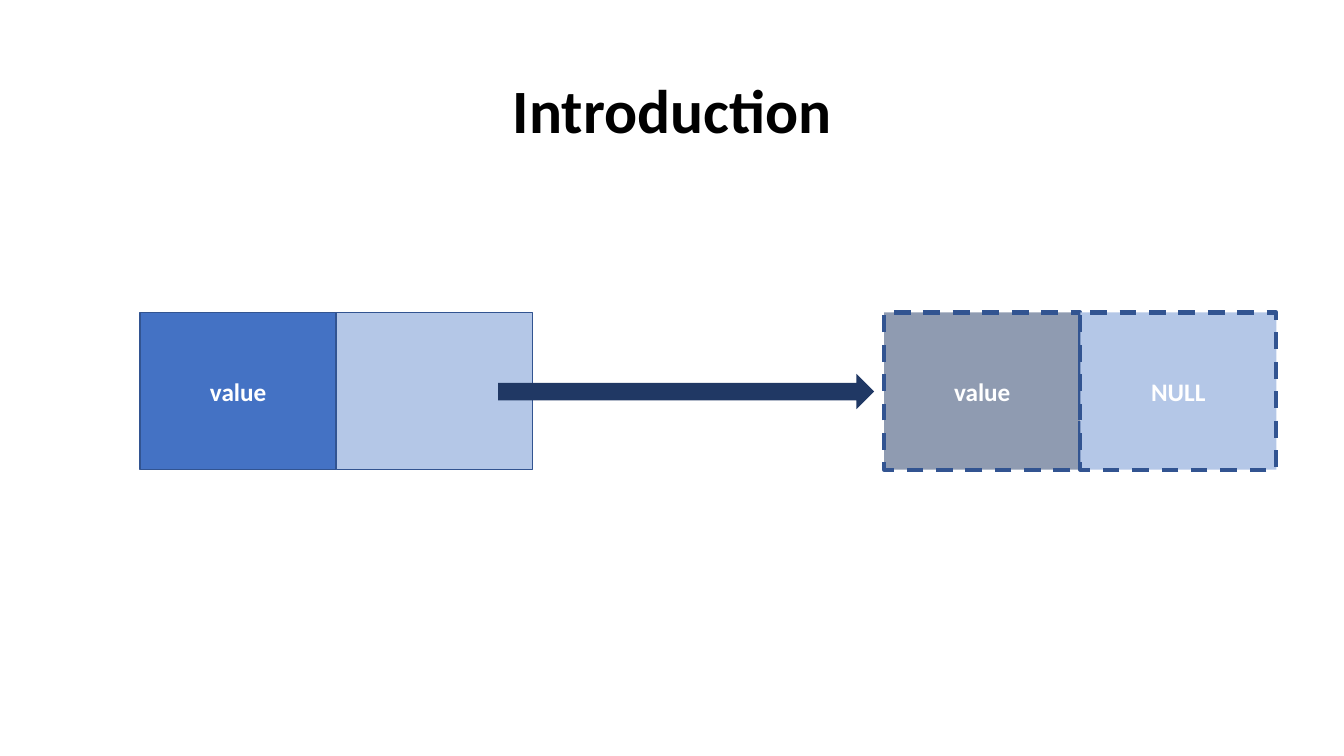
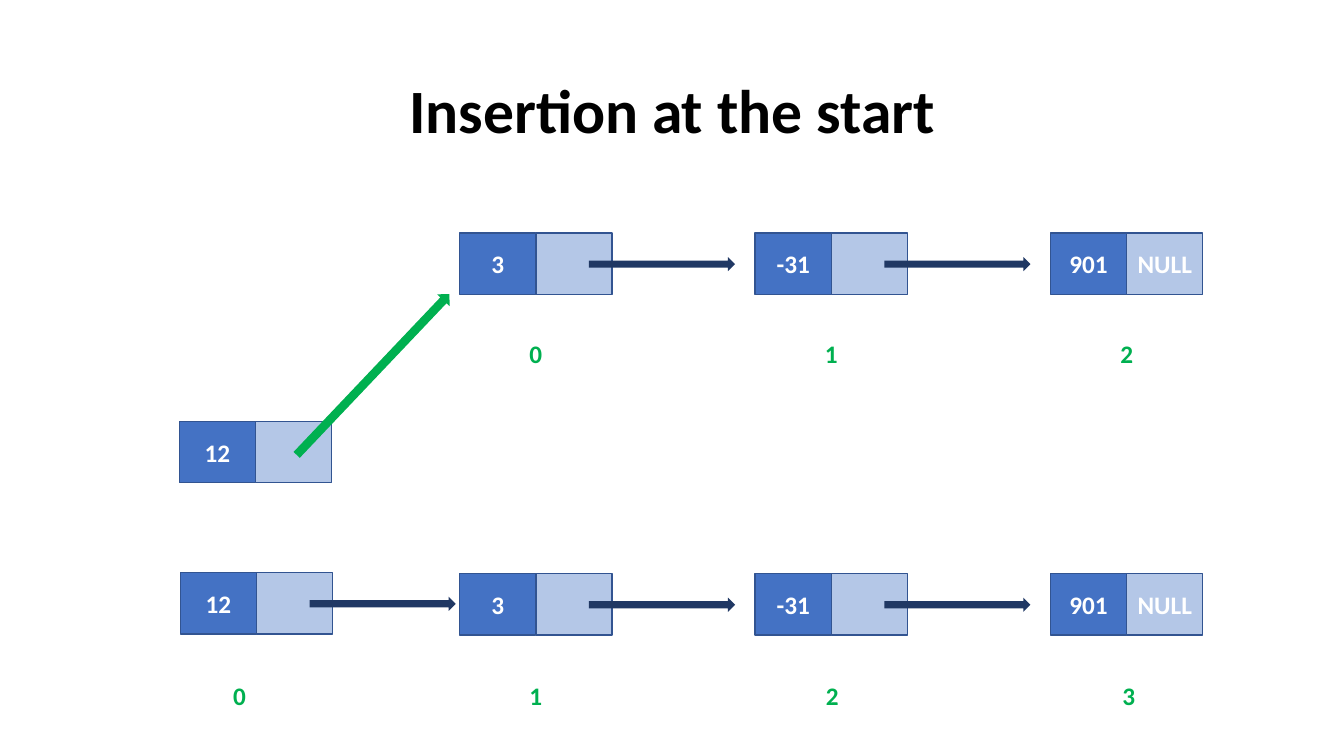
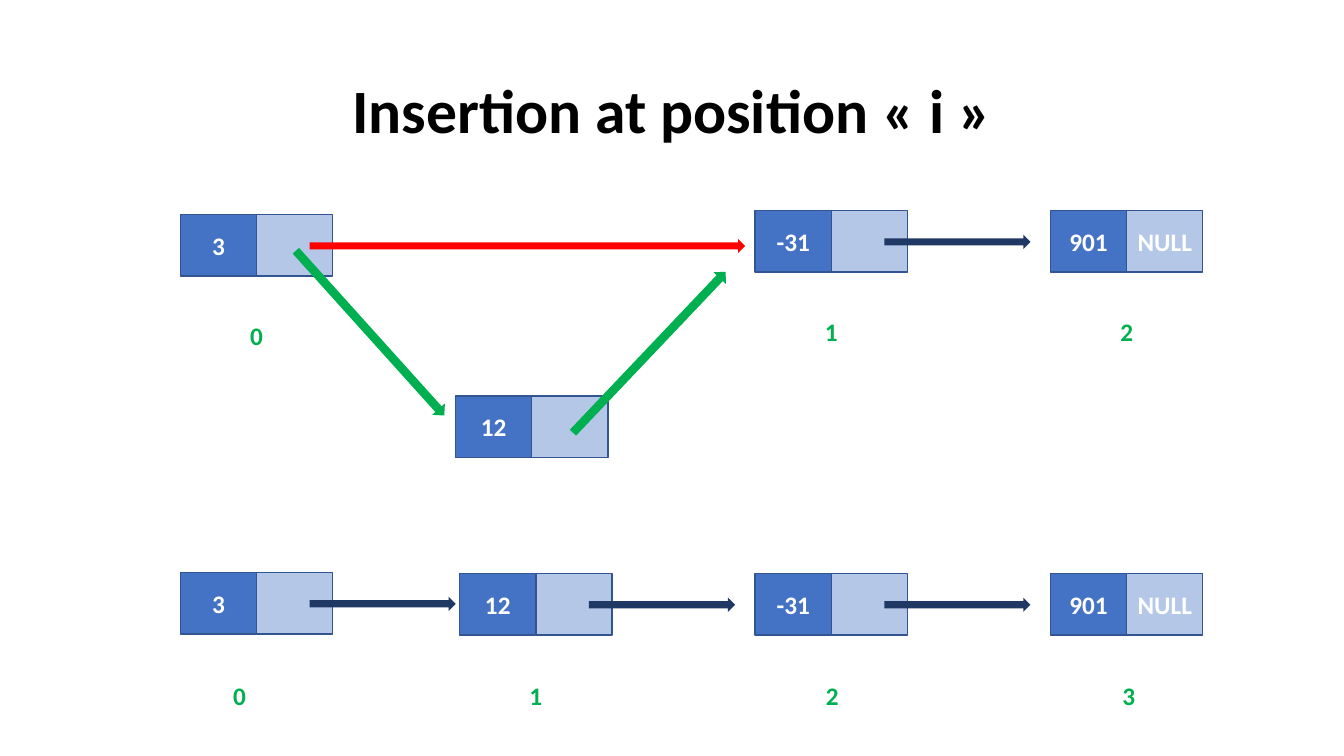
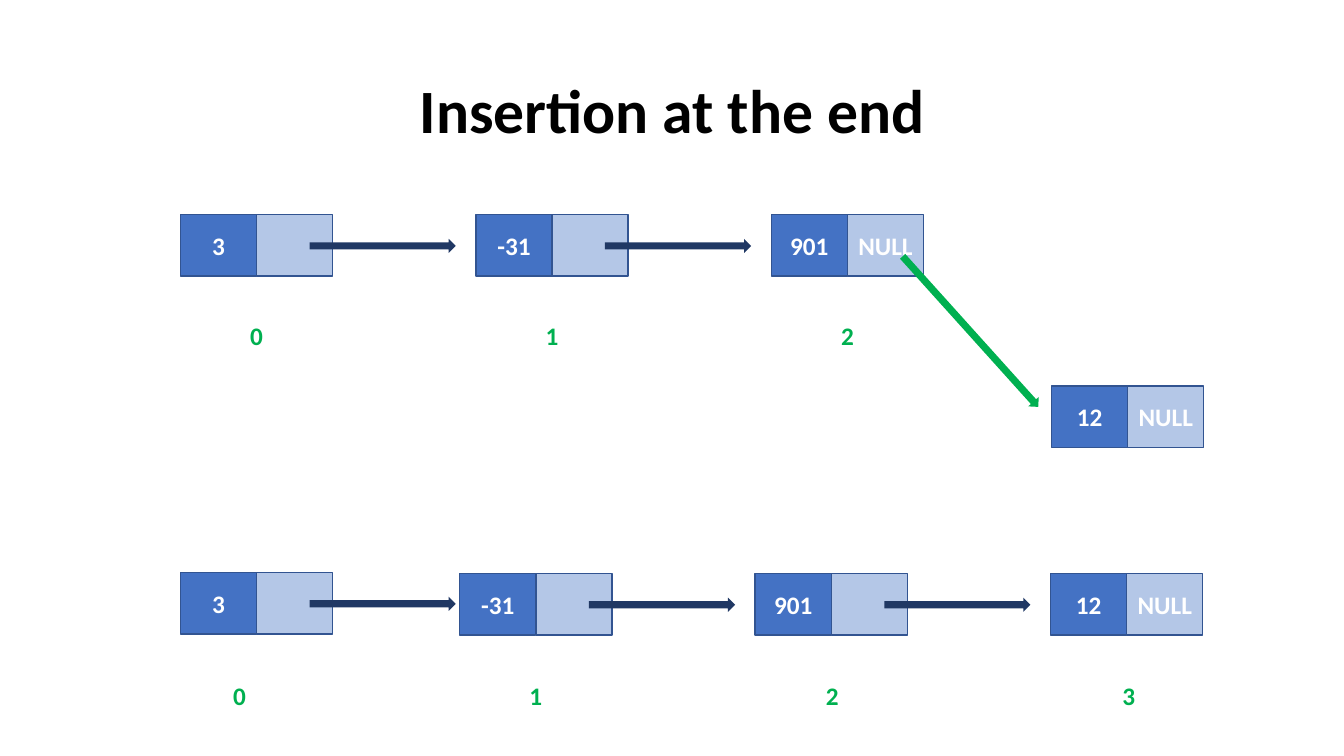
import pptx
import pptx.dml.color
import pptx.enum.dml
import pptx.enum.shapes
import pptx.enum.text
import pptx.oxml.ns
import pptx.util
import lxml.etree

Inches = pptx.util.Inches
RGBColor = pptx.dml.color.RGBColor
SHAPE = pptx.enum.shapes.MSO_SHAPE

BLACK = RGBColor(0x00, 0x00, 0x00)
WHITE = RGBColor(0xFF, 0xFF, 0xFF)
BLUE = RGBColor(0x44, 0x72, 0xC4)
PALE_BLUE = RGBColor(0xB4, 0xC7, 0xE7)
EDGE_BLUE = RGBColor(0x32, 0x54, 0x91)
NAVY = RGBColor(0x20, 0x38, 0x64)
GREEN = RGBColor(0x00, 0xB0, 0x50)
RED = RGBColor(0xFF, 0x00, 0x00)

FONT = "Calibri"
CELL_WIDTH = 0.755
CELL_HEIGHT = 0.61
LABEL_WIDTH = 0.83
LINK_WIDTH = 1.45
LINK_HEIGHT = 0.14
PITCH = 2.93
LABEL_PITCH = 2.94
FIRST_LEFT = 1.79
RESULT_LEFT = 4.56
RESULT_TOP = 5.69
RESULT_LABEL_LEFT = 1.96
RESULT_LABEL_TOP = 6.7


def write(frame, text, size=18, color=WHITE, line_spacing=None,
          anchor=pptx.enum.text.MSO_ANCHOR.MIDDLE):
    frame.word_wrap = True
    frame.vertical_anchor = anchor
    para = frame.paragraphs[0]
    para.alignment = pptx.enum.text.PP_ALIGN.CENTER
    if line_spacing:
        para.line_spacing = line_spacing
    span = para.add_run()
    span.text = text
    span.font.name = FONT
    span.font.size = pptx.util.Pt(size)
    span.font.bold = True
    span.font.color.rgb = color


def add_text(page, text, left, top, width, height, **text_format):
    box = page.shapes.add_textbox(Inches(left), Inches(top), Inches(width), Inches(height))
    write(box.text_frame, text, **text_format)
    return box


def add_title_page(deck, title):
    page = deck.slides.add_slide(deck.slide_layouts[6])
    add_text(page, title, 0.92, 0.4, 11.5, 1.45, size=44, color=BLACK, line_spacing=0.9)
    return page


def add_filled(shapes, kind, left, top, width, height, fill):
    shape = shapes.add_shape(kind, Inches(left), Inches(top), Inches(width), Inches(height))
    shape.shadow.inherit = False
    shape.fill.solid()
    shape.fill.fore_color.rgb = fill
    return shape


def add_arrow(shapes, left, top, width, height=LINK_HEIGHT, color=NAVY, rotation=0):
    arrow = add_filled(shapes, SHAPE.RIGHT_ARROW, left, top, width, height, color)
    arrow.line.fill.background()
    arrow.rotation = rotation


def set_opacity(shape, percent):
    color = shape.fill._xPr.find(".//" + pptx.oxml.ns.qn("a:srgbClr"))
    alpha = lxml.etree.SubElement(color, pptx.oxml.ns.qn("a:alpha"))
    alpha.set("val", str(percent * 1000))


def add_cell(shapes, text, left, top, width, height, fill, dashed):
    cell = add_filled(shapes, SHAPE.RECTANGLE, left, top, width, height, fill)
    cell.line.color.rgb = EDGE_BLUE
    cell.line.width = pptx.util.Pt(3 if dashed else 1)
    if dashed:
        cell.line.dash_style = pptx.enum.dml.MSO_LINE.DASH
    if text:
        write(cell.text_frame, text)
    return cell


def add_node(page, value, left, top, pointer="", width=CELL_WIDTH, height=CELL_HEIGHT,
             fill=BLUE, dashed=False):
    group = page.shapes.add_group_shape()
    value_cell = add_cell(group.shapes, value, left, top, width, height, fill, dashed)
    add_cell(group.shapes, pointer, left + width, top, width, height, PALE_BLUE, dashed)
    if dashed:
        set_opacity(value_cell, 50)
    return group


def add_linked_node(page, value, left, top, link_width=LINK_WIDTH, link_color=NAVY):
    group = add_node(page, value, left, top)
    add_arrow(group.shapes, left + 1.28, top + 0.24, link_width, color=link_color)


def add_index(page, index, left, top):
    box = add_text(page, str(index), left, top, LABEL_WIDTH, 0.4, color=GREEN,
                   anchor=pptx.enum.text.MSO_ANCHOR.TOP)
    box.text_frame.auto_size = pptx.enum.text.MSO_AUTO_SIZE.SHAPE_TO_FIT_TEXT


def add_node_index(page, index, node_left, node_top):
    add_index(page, index, node_left + CELL_WIDTH - LABEL_WIDTH / 2, node_top + 1)


def add_chain(page, values, left, top):
    for position, value in enumerate(values):
        node_left = left + position * PITCH
        if position == len(values) - 1:
            add_node(page, value, node_left, top, pointer="NULL")
        else:
            add_linked_node(page, value, node_left, top)


def add_indexed_chain(page, values, left, top, first_index=0):
    add_chain(page, values, left, top)
    for position in range(len(values)):
        add_node_index(page, first_index + position, left + position * PITCH, top)


def add_result(page, values):
    add_linked_node(page, values[0], FIRST_LEFT, RESULT_TOP - 0.01)
    add_chain(page, values[1:], RESULT_LEFT, RESULT_TOP)
    for index in range(len(values)):
        add_index(page, index, RESULT_LABEL_LEFT + index * LABEL_PITCH, RESULT_LABEL_TOP)


def build_introduction(deck):
    page = add_title_page(deck, "Introduction")
    large = {"width": 1.945, "height": 1.56}
    node = add_node(page, "value", 1.39, 3.1, **large)
    add_arrow(node.shapes, 4.94, 3.71, 3.73, 0.35)
    add_node(page, "value", 8.77, 3.1, pointer="NULL", fill=NAVY, dashed=True, **large)


def build_start_insertion(deck):
    page = add_title_page(deck, "Insertion at the start")
    add_indexed_chain(page, ["3", "-31", "901"], RESULT_LEFT, 2.31)
    add_node(page, "12", 1.78, 4.18)
    add_result(page, ["12", "3", "-31", "901"])
    add_arrow(page.shapes, 2.6, 3.63, 2.2, 0.17, color=GREEN, rotation=313.5)


def build_position_insertion(deck):
    page = add_title_page(deck, "Insertion at position «\u00a0i\u00a0»")
    add_linked_node(page, "3", FIRST_LEFT, 2.13, link_width=4.32, link_color=RED)
    add_node_index(page, 0, FIRST_LEFT, 2.13)
    add_indexed_chain(page, ["-31", "901"], RESULT_LEFT + PITCH, 2.09, first_index=1)
    add_node(page, "12", 4.52, 3.93)
    add_result(page, ["3", "12", "-31", "901"])
    add_arrow(page.shapes, 5.34, 3.41, 2.2, 0.17, color=GREEN, rotation=313.5)
    add_arrow(page.shapes, 2.57, 3.22, 2.2, 0.17, color=GREEN, rotation=48)


def build_end_insertion(deck):
    page = add_title_page(deck, "Insertion at the end")
    add_result(page, ["3", "-31", "901", "12"])
    add_indexed_chain(page, ["3", "-31", "901"], FIRST_LEFT, 2.13)
    add_node(page, "12", 10.43, 3.83, pointer="NULL")
    add_arrow(page.shapes, 8.62, 3.22, 2.01, color=GREEN, rotation=48)


def main():
    deck = pptx.Presentation()
    deck.slide_width = Inches(13.33)
    deck.slide_height = Inches(7.5)
    build_introduction(deck)
    build_start_insertion(deck)
    build_position_insertion(deck)
    build_end_insertion(deck)
    deck.save("out.pptx")


main()
